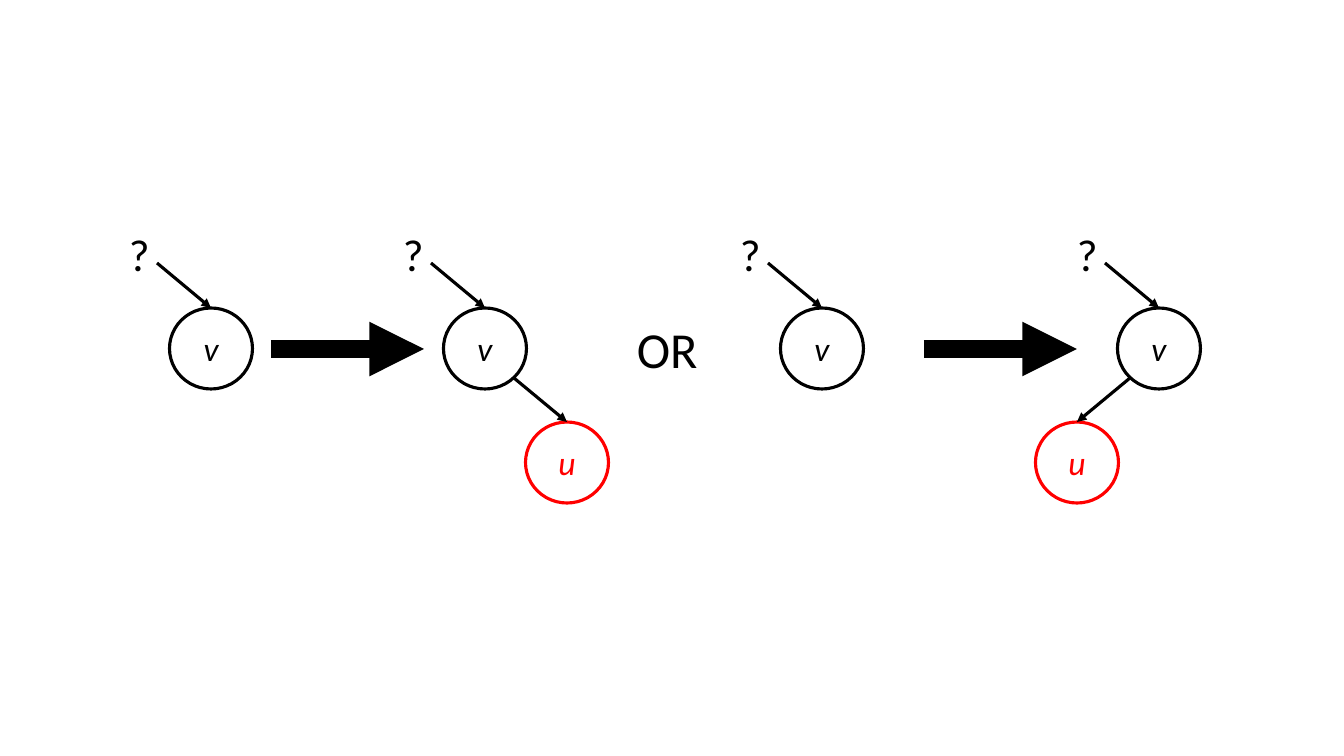
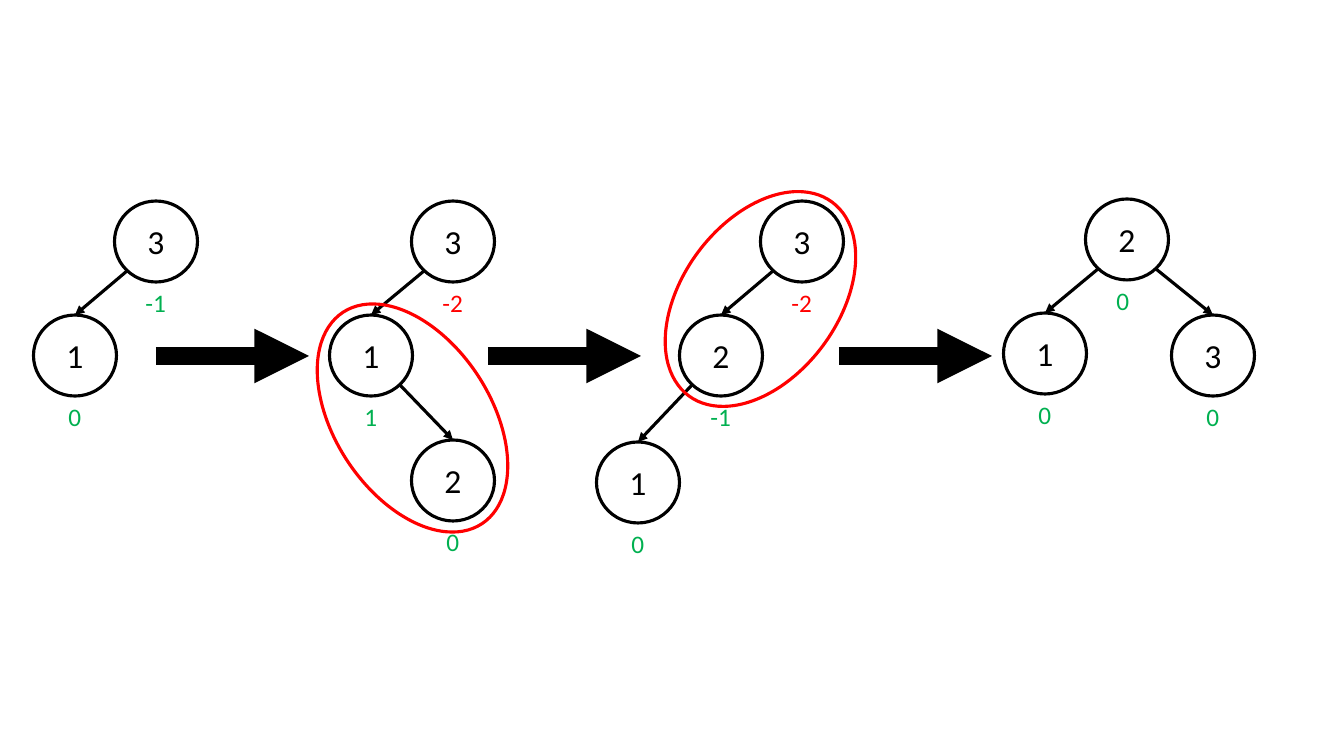
from lxml.etree import SubElement
from pptx import Presentation
from pptx.dml.color import RGBColor
from pptx.enum.shapes import MSO_CONNECTOR as Link, MSO_SHAPE as Shape
from pptx.enum.text import MSO_ANCHOR as Anchor, MSO_AUTO_SIZE as AutoSize, PP_ALIGN as Align
from pptx.oxml.ns import qn
from pptx.util import Pt

BLACK = RGBColor(0x00, 0x00, 0x00)
RED = RGBColor(0xFF, 0x00, 0x00)
GREEN = RGBColor(0x00, 0xB0, 0x50)
FONT = "Calibri"
PIXEL = 914400 / 100.8
NODE_W, NODE_H = 83, 81
CHILD_DX, CHILD_DY = 82, 114
LINE_WIDTH, STEP_WIDTH = 2.25, 13


def px(*lengths):
    return [round(length * PIXEL) for length in lengths]


class Deck:
    def __init__(self):
        self.show = Presentation()
        self.show.slide_width, self.show.slide_height = px(1344, 756)
        self.slide = None

    def add_slide(self):
        self.slide = self.show.slides.add_slide(self.show.slide_layouts[6])

    def fill_text(self, frame, text, size, color, italic=False, align=Align.LEFT):
        paragraph = frame.paragraphs[0]
        paragraph.alignment = align
        run = paragraph.add_run()
        run.text = text
        run.font.name = FONT
        run.font.size = Pt(size)
        run.font.italic = italic
        run.font.color.rgb = color

    def text(self, text, left, top, width, height, size, color=BLACK, wrap=True):
        frame = self.slide.shapes.add_textbox(*px(left, top, width, height)).text_frame
        frame.word_wrap = wrap
        frame.auto_size = AutoSize.SHAPE_TO_FIT_TEXT
        self.fill_text(frame, text, size, color)

    def ring(self, left, top, width, height, color, rotation=0):
        ring = self.slide.shapes.add_shape(Shape.OVAL, *px(left, top, width, height))
        ring.shadow.inherit = False
        ring.fill.background()
        ring.line.color.rgb = color
        ring.line.width = Pt(LINE_WIDTH)
        ring.rotation = rotation
        return ring

    def node(self, key, center, top, color=BLACK, italic=False):
        frame = self.ring(center - NODE_W / 2, top, NODE_W, NODE_H, color).text_frame
        frame.vertical_anchor = Anchor.MIDDLE
        self.fill_text(frame, key, 24, color, italic, Align.CENTER)

    def arrow(self, x1, y1, x2, y2, width=LINE_WIDTH):
        arrow = self.slide.shapes.add_connector(Link.STRAIGHT, *px(x1, y1, x2, y2))
        arrow.line.color.rgb = BLACK
        arrow.line.width = Pt(width)
        properties = arrow._element.spPr
        SubElement(properties.find(qn("a:ln")), qn("a:tailEnd"), type="triangle")
        SubElement(properties, qn("a:effectLst"))

    def step(self, left, y):
        self.arrow(left, y, left + 153, y, STEP_WIDTH)

    def edge(self, parent, child):
        (x1, y1), (x2, y2) = parent, child
        side = 29 if x2 > x1 else -29
        self.arrow(x1 + side, y1 + 70, x2, y2)

    def balance(self, value, center, node_top, color=GREEN):
        width = 33 + 8 * (len(value) - 1)
        self.text(value, center - width / 2, node_top + NODE_H, width, 40, 18, color, False)

    def insertion(self, center, top, side=0):
        self.node("v", center, top, italic=True)
        self.text("?", center - 92, top - 86, 29, 65, 32)
        self.arrow(center - 54, top - 45, center, top)
        if side:
            leaf = center + side * CHILD_DX, top + CHILD_DY
            self.node("u", *leaf, RED, True)
            self.edge((center, top), leaf)


deck = Deck()

deck.add_slide()
for center, side in ((211, 0), (485, 1), (822, 0), (1159, -1)):
    deck.insertion(center, 308, side)
for left in (271, 924):
    deck.step(left, 349)
deck.text("OR", 627, 313, 130, 72, 36)

deck.add_slide()
ROOT_TOP = 201
MIDDLE_TOP = ROOT_TOP + CHILD_DY
stages = (
    (("3", 156, ROOT_TOP, "-1", GREEN), ("1", 75, MIDDLE_TOP, "0", GREEN)),
    (("3", 453, ROOT_TOP, "-2", RED), ("1", 371, MIDDLE_TOP, "1", GREEN),
     ("2", 453, 440, "0", GREEN)),
    (("3", 802, ROOT_TOP, "-2", RED), ("2", 721, MIDDLE_TOP, "-1", GREEN),
     ("1", 638, 442, "0", GREEN)),
)
for chain in stages:
    for key, center, top, factor, color in chain:
        deck.node(key, center, top)
        deck.balance(factor, center, top, color)
    for parent, child in zip(chain, chain[1:]):
        deck.edge(parent[1:3], child[1:3])

balanced_root = 1127, 199
deck.node("2", *balanced_root)
deck.balance("0", 1123, 199)
for key, center, top in (("1", 1045, 313), ("3", 1213, 315)):
    deck.node(key, center, top)
    deck.balance("0", center, top)
    deck.edge(balanced_root, (center, top))

for left in (156, 488, 839):
    deck.step(left, 356)
deck.ring(286, 340, 253, 156, RED, 56.7)
deck.ring(640, 221, 241, 156, RED, 306.5)

deck.show.save("out.pptx")
